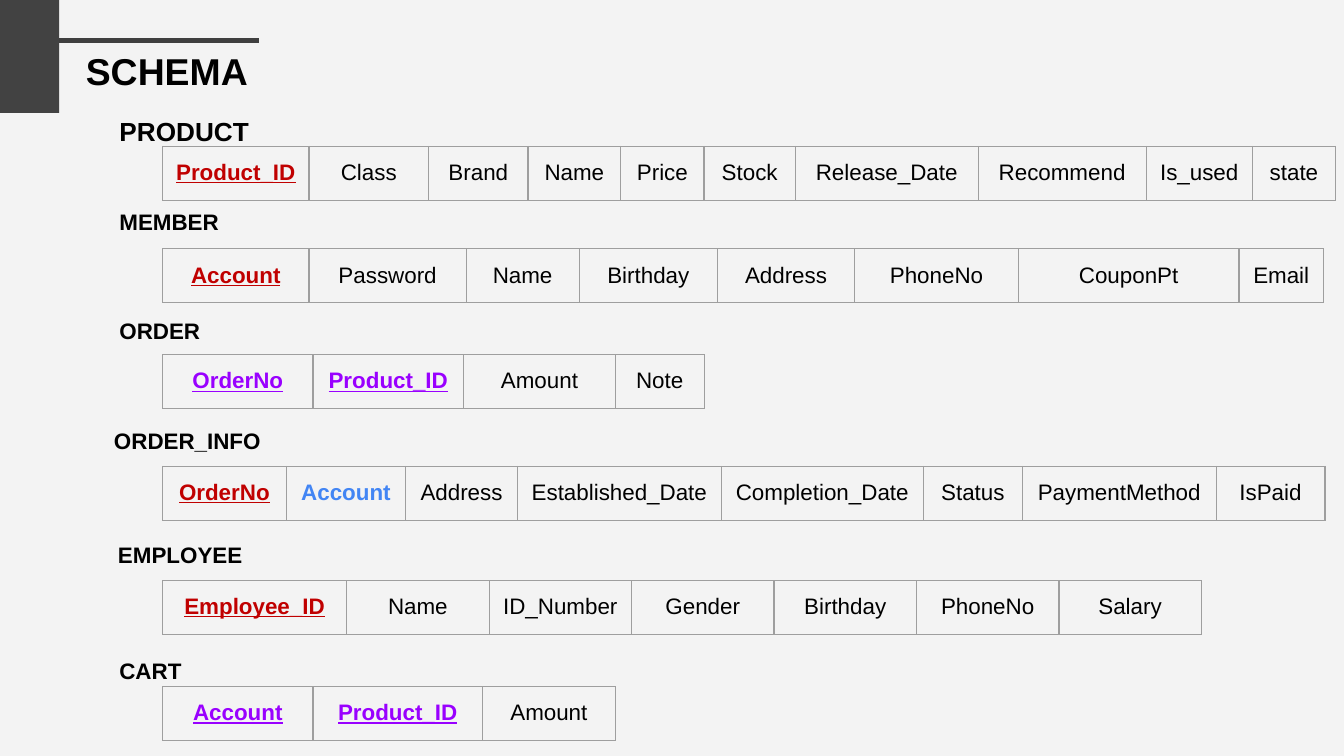
"""Build the database schema slide."""
import dataclasses
import typing

import pptx
import pptx.dml.color
import pptx.enum.shapes
import pptx.enum.text
import pptx.oxml
import pptx.oxml.ns
import pptx.util

Inches = pptx.util.Inches
Pt = pptx.util.Pt
MIDDLE = pptx.enum.text.MSO_ANCHOR.MIDDLE
TOP = pptx.enum.text.MSO_ANCHOR.TOP

COLORS = {
    "background": "F3F3F3",
    "block": "424242",
    "rule": "3F3F3F",
    "border": "9E9E9E",
    "plain": "000000",
    "primary": "C00000",
    "composite": "9900FF",
    "foreign": "4285F4",
}
MARGINS = {f"margin_{side}": Inches(0.1) for side in ("left", "right", "top", "bottom")}
KEY = {"bold": True, "underline": True}
ROLE_FONTS = {
    "plain": {"bold": False, "underline": False},
    "primary": KEY,
    "composite": KEY,
    "foreign": {"bold": True, "underline": False},
}
SLIDE_WIDTH = 10
SLIDE_HEIGHT = SLIDE_WIDTH * 9 / 16
TABLE_LEFT = 1.21
ROW_HEIGHT = 0.4


class Field(typing.NamedTuple):
    name: str
    width: float
    role: str = "plain"


@dataclasses.dataclass
class Heading:
    text: str
    left: float
    top: float
    width: float
    height: float = 0.4
    size: int = 12


@dataclasses.dataclass
class Relation:
    heading: Heading
    top: float
    fields: list[Field]
    anchor: pptx.enum.text.MSO_ANCHOR = TOP


RELATIONS = [
    Relation(Heading("PRODUCT", 0.79, 0.76, 1.48, 0.44, 14), 1.09, [
        Field("Product_ID", 1.09, "primary"), Field("Class", 0.89),
        Field("Brand", 0.74), Field("Name", 0.69), Field("Price", 0.62),
        Field("Stock", 0.68), Field("Release_Date", 1.36),
        Field("Recommend", 1.25), Field("Is_used", 0.79), Field("state", 0.62),
    ]),
    Relation(Heading("MEMBER", 0.79, 1.45, 1.29), 1.85, [
        Field("Account", 1.09, "primary"), Field("Password", 1.17),
        Field("Name", 0.84), Field("Birthday", 1.03), Field("Address", 1.02),
        Field("PhoneNo", 1.22), Field("CouponPt", 1.64), Field("Email", 0.63),
    ], MIDDLE),
    Relation(Heading("ORDER", 0.79, 2.26, 1.87), 2.64, [
        Field("OrderNo", 1.12, "composite"), Field("Product_ID", 1.12, "composite"),
        Field("Amount", 1.13), Field("Note", 0.66),
    ]),
    Relation(Heading("ORDER_INFO", 0.75, 3.08, 1.9), 3.47, [
        Field("OrderNo", 0.92, "primary"), Field("Account", 0.89, "foreign"),
        Field("Address", 0.83), Field("Established_Date", 1.52),
        Field("Completion_Date", 1.5), Field("Status", 0.74),
        Field("PaymentMethod", 1.44), Field("IsPaid", 0.81),
    ]),
    Relation(Heading("EMPLOYEE", 0.78, 3.93, 1.9), 4.32, [
        Field("Employee_ID", 1.37, "primary"),
        *(Field(name, 1.06) for name in (
            "Name", "ID_Number", "Gender", "Birthday", "PhoneNo", "Salary")),
    ]),
    Relation(Heading("CART", 0.79, 4.79, 1.87), 5.11, [
        Field("Account", 1.12, "composite"), Field("Product_ID", 1.26, "composite"),
        Field("Amount", 0.99),
    ]),
]


def rgb(name: str) -> pptx.dml.color.RGBColor:
    return pptx.dml.color.RGBColor.from_string(COLORS[name])


def apply(target: typing.Any, values: dict[str, typing.Any]) -> None:
    for name, value in values.items():
        setattr(target, name, value)


def write(frame: typing.Any, text: str, size: int, color: str,
          style: dict[str, typing.Any]) -> None:
    run = frame.paragraphs[0].add_run()
    run.text = text
    apply(run.font, {"name": "Arial", "size": Pt(size), **style})
    run.font.color.rgb = rgb(color)


def draw_heading(slide: typing.Any, heading: Heading) -> None:
    box = slide.shapes.add_textbox(
        Inches(heading.left), Inches(heading.top),
        Inches(heading.width), Inches(heading.height))
    apply(box.text_frame, {**MARGINS, "word_wrap": True, "vertical_anchor": TOP})
    write(box.text_frame, heading.text, heading.size, "plain", {"bold": True})


def add_borders(cell: typing.Any) -> None:
    properties = cell._tc.get_or_add_tcPr()
    for side in "LRTB":
        properties.append(pptx.oxml.parse_xml(
            f'<a:ln{side} {pptx.oxml.ns.nsdecls("a")} w="{Pt(0.75)}"><a:solidFill>'
            f'<a:srgbClr val="{COLORS["border"]}"/></a:solidFill></a:ln{side}>'))


def draw_relation(slide: typing.Any, relation: Relation) -> None:
    draw_heading(slide, relation.heading)
    fields = relation.fields
    table = slide.shapes.add_table(
        1, len(fields), Inches(TABLE_LEFT), Inches(relation.top),
        Inches(sum(field.width for field in fields)), Inches(ROW_HEIGHT)).table
    apply(table, {"first_row": False, "horz_banding": False})
    for column, field in enumerate(fields):
        table.columns[column].width = Inches(field.width)
        cell = table.cell(0, column)
        apply(cell, {**MARGINS, "vertical_anchor": relation.anchor})
        add_borders(cell)
        cell.fill.background()
        cell.text_frame.paragraphs[0].alignment = pptx.enum.text.PP_ALIGN.CENTER
        write(cell.text_frame, field.name, 12, field.role, ROLE_FONTS[field.role])


def draw_corner(slide: typing.Any) -> None:
    block = slide.shapes.add_shape(
        pptx.enum.shapes.MSO_SHAPE.RECTANGLE, 0, 0, Inches(0.44), Inches(0.84))
    block.shadow.inherit = False
    block.fill.solid()
    block.fill.fore_color.rgb = rgb("block")
    block.line.fill.background()
    rule = slide.shapes.add_connector(
        pptx.enum.shapes.MSO_CONNECTOR.STRAIGHT,
        Inches(0.44), Inches(0.3), Inches(1.93), Inches(0.3))
    rule.line.color.rgb = rgb("rule")
    rule.line.width = Pt(3)
    rule._element.spPr.append(
        pptx.oxml.parse_xml(f'<a:effectLst {pptx.oxml.ns.nsdecls("a")}/>'))


def main() -> None:
    deck = pptx.Presentation()
    apply(deck, {"slide_width": Inches(SLIDE_WIDTH), "slide_height": Inches(SLIDE_HEIGHT)})
    slide = deck.slides.add_slide(deck.slide_layouts[6])
    slide.background.fill.solid()
    slide.background.fill.fore_color.rgb = rgb("background")
    draw_corner(slide)
    draw_heading(slide, Heading("SCHEMA", 0.54, 0.26, 9.32, 0.63, 20))
    for relation in RELATIONS:
        draw_relation(slide, relation)
    deck.save("out.pptx")


main()
